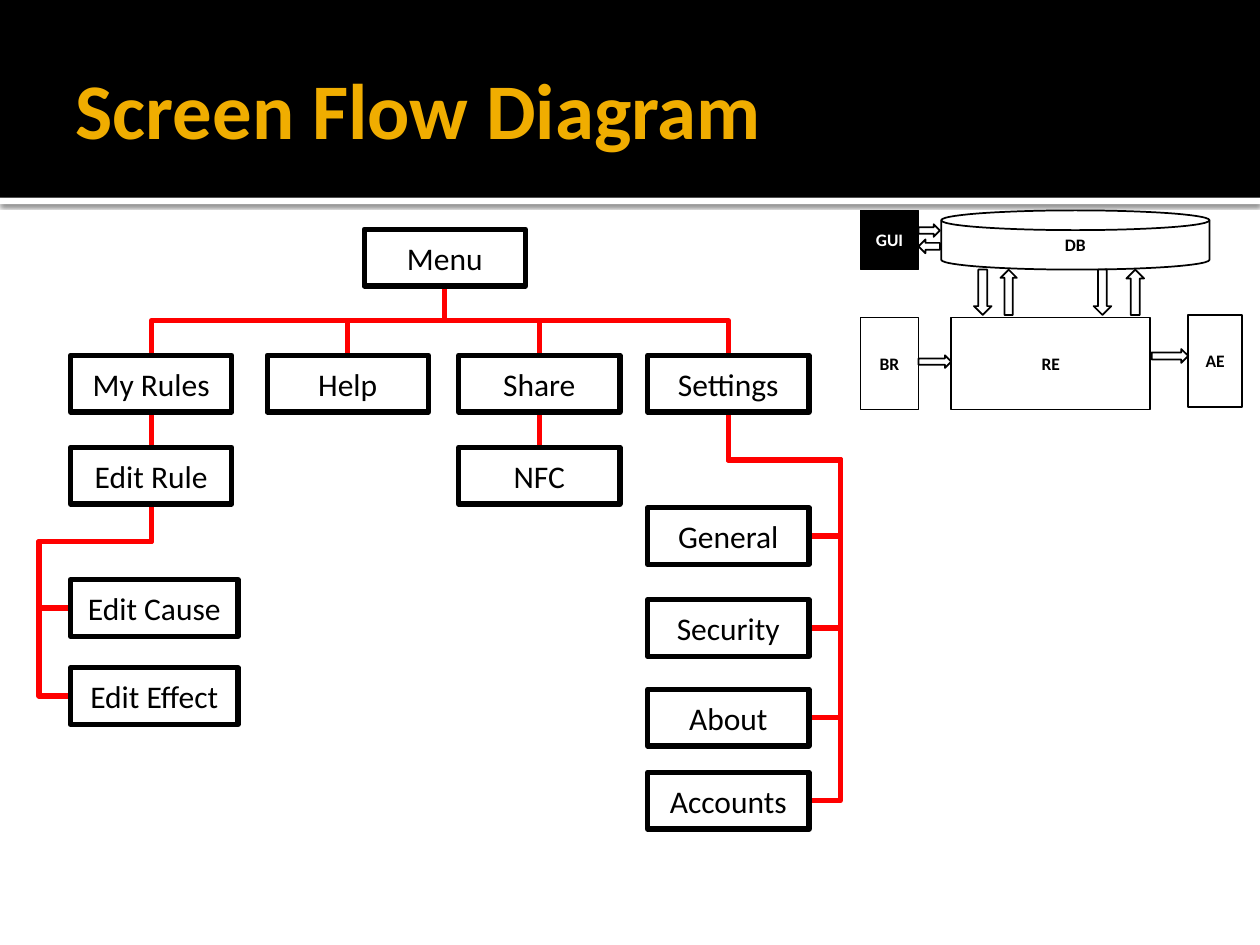
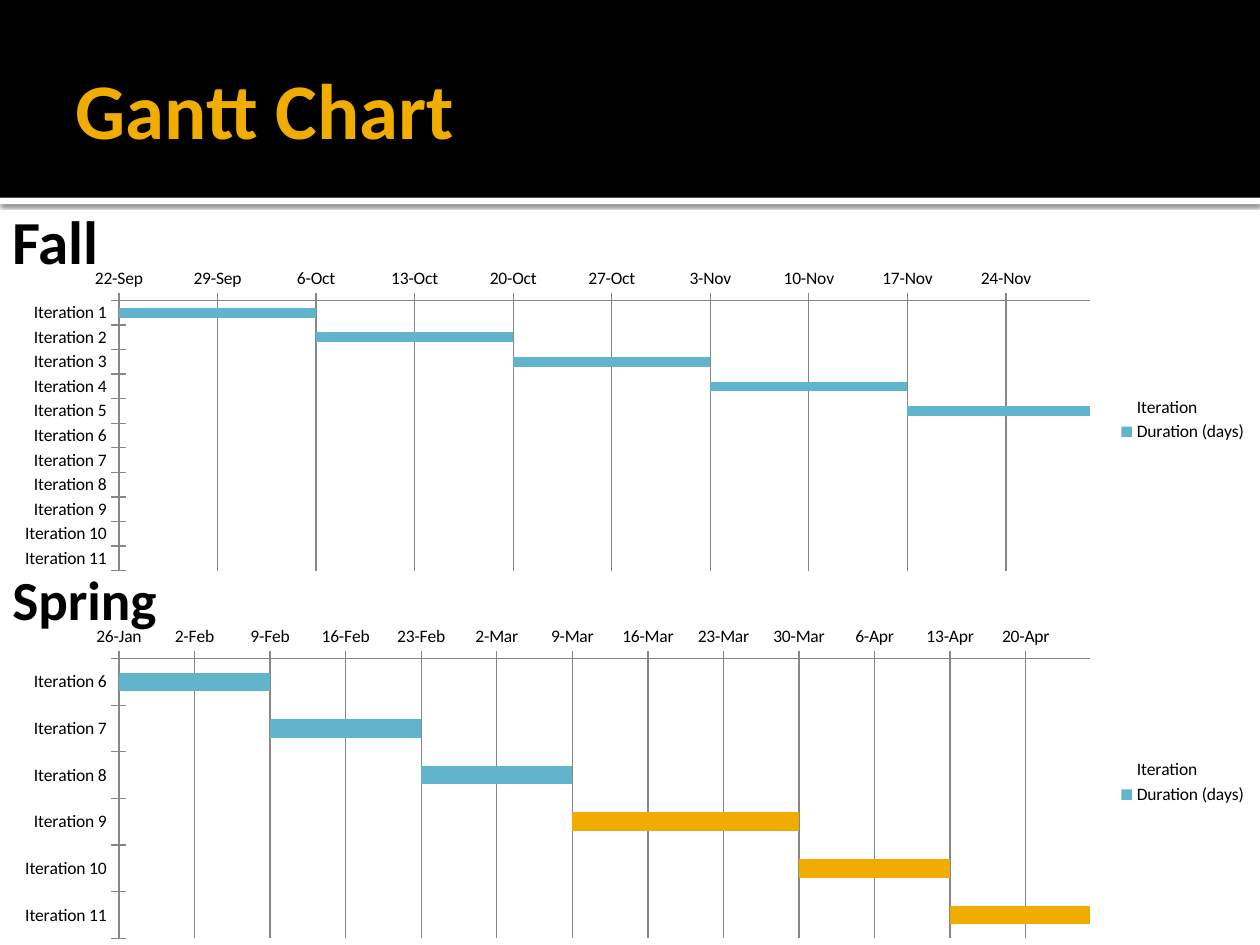
from dataclasses import dataclass

from lxml import etree
from pptx import Presentation
from pptx import util as u
from pptx.chart.data import CategoryChartData
from pptx.dml.color import RGBColor
from pptx.enum import chart as charts, shapes, text
from pptx.oxml.ns import qn


@dataclass(frozen=True)
class Theme:
    font: str = "Calibri"
    black: RGBColor = RGBColor.from_string("000000")
    white: RGBColor = RGBColor.from_string("FFFFFF")
    gold: RGBColor = RGBColor.from_string("F0AD00")
    blue: RGBColor = RGBColor.from_string("60B5CC")
    red: RGBColor = RGBColor.from_string("FF0000")
    grid: RGBColor = RGBColor.from_string("878787")
    title_size: float = 45
    fall_size: float = 34.9
    spring_size: float = 31.5
    screen_size: float = 18
    small_size: float = 10


theme = Theme()
kinds = shapes.MSO_SHAPE
TOP, LEFT, BOTTOM, RIGHT = range(4)


def add_box(slide, kind, place, label="", fill=theme.white, ink=theme.black,
            edge=1, size=theme.small_size, bold=True):
    """Add a filled shape with a black edge and a centred label."""
    box = slide.shapes.add_shape(kind, *map(u.Inches, place))
    box.shadow.inherit = False
    box.fill.solid()
    box.fill.fore_color.rgb = fill
    if edge:
        box.line.color.rgb = theme.black
        box.line.width = u.Pt(edge)
    else:
        box.line.fill.background()
    if label:
        box.text_frame.text = label
        box.text_frame.vertical_anchor = text.MSO_ANCHOR.MIDDLE
        line = box.text_frame.paragraphs[0]
        line.alignment = text.PP_ALIGN.CENTER
        for key, value in dict(name=theme.font, size=u.Pt(size), bold=bold).items():
            setattr(line.font, key, value)
        line.font.color.rgb = ink
    return box


def add_flow(slide, parent, child, side=TOP, drop=None):
    """Link a parent's bottom to a child's side; drop is the fall before a side rail."""
    x1, y1 = parent.left + parent.width // 2, parent.top + parent.height
    x2, y2 = child.left + child.width // 2, child.top
    if side != TOP:
        x2 = child.left + (child.width if side == RIGHT else 0)
        y2 += child.height // 2
    flow = slide.shapes.add_connector(shapes.MSO_CONNECTOR.ELBOW, x1, y1, x2, y2)
    flow.begin_connect(parent, BOTTOM)
    flow.end_connect(child, side)
    flow.line.color.rgb = theme.red
    flow.line.width = u.Pt(3)
    properties = flow._element.spPr
    etree.SubElement(properties, qn("a:effectLst"))

    # Turn the frame so that the line leaves downwards
    across, down = abs(x2 - x1), y2 - y1
    frame = properties.find(qn("a:xfrm"))
    for key in ("flipH", "flipV"):
        frame.attrib.pop(key, None)
    frame.set("rot", str((270 if x2 > x1 else 90) * 60000))
    if x2 > x1:
        frame.set("flipH", "1")
    flow.width, flow.height = down, across
    flow.left, flow.top = (x1 + x2 - down) // 2, (y1 + y2 - across) // 2

    # A side rail runs a quarter inch outside the child
    if drop:
        outline = properties.find(qn("a:prstGeom"))
        outline.set("prst", "bentConnector4")
        guides = outline.find(qn("a:avLst"))
        bends = u.Inches(drop) / down, 1 + u.Inches(0.25) / across
        for number, bend in enumerate(bends, 1):
            etree.SubElement(guides, qn("a:gd"), name=f"adj{number}",
                             fmla=f"val {round(bend * 100000)}")
    return flow


deck = Presentation()
deck.slide_width, deck.slide_height = u.Inches(10), u.Inches(7.5)
layout = deck.slide_layouts[5]
flow_slide, gantt_slide = (deck.slides.add_slide(layout) for _ in range(2))

# Shared header: black band and white strip with a soft shadow, kept on the layout
strip = add_box(flow_slide, kinds.RECTANGLE, (0, 1.57, 10, 0.05), edge=0)
band = add_box(flow_slide, kinds.RECTANGLE, (0, 0, 10, 1.57), fill=theme.black, edge=0)
effects = strip._element.spPr.find(qn("a:effectLst"))
shade = etree.SubElement(effects, qn("a:outerShdw"), blurRad="31750", dist="10160",
                         dir="5400000", algn="tl", rotWithShape="0")
shade_colour = etree.SubElement(shade, qn("a:srgbClr"), val=str(theme.black))
etree.SubElement(shade_colour, qn("a:alpha"), val="60000")
for part in (strip, band):
    layout.placeholders[0]._element.addprevious(part._element)

# Screen flow: boxes
screens = {}
for name, left, top, width in [
    ("My Rules", 0.56, 2.82, 1.28), ("Edit Rule", 0.56, 3.55, 1.28),
    ("Help", 2.12, 2.82, 1.28), ("Menu", 2.89, 1.82, 1.28),
    ("Share", 3.64, 2.82, 1.28), ("NFC", 3.64, 3.55, 1.28),
    ("Edit Cause", 0.56, 4.6, 1.33), ("Edit Effect", 0.56, 5.3, 1.33),
    ("Settings", 5.14, 2.82, 1.28), ("General", 5.14, 4.03, 1.28),
    ("Security", 5.14, 4.76, 1.28), ("About", 5.14, 5.47, 1.28),
    ("Accounts", 5.14, 6.13, 1.28),
]:
    screens[name] = add_box(flow_slide, kinds.RECTANGLE, (left, top, width, 0.45), name,
                            edge=3, size=theme.screen_size, bold=False)

# Screen flow: links, placed behind the boxes
for parent, children, side, drop in [
    ("Menu", ["My Rules", "Settings", "Share", "Help"], TOP, None),
    ("My Rules", ["Edit Rule"], TOP, None),
    ("Share", ["NFC"], TOP, None),
    ("Edit Rule", ["Edit Cause", "Edit Effect"], LEFT, 0.3),
    ("Settings", ["General", "Security", "About", "Accounts"], RIGHT, 0.38),
]:
    for child in children:
        link = add_flow(flow_slide, screens[parent], screens[child], side, drop)
        screens["My Rules"]._element.addprevious(link._element)

# Architecture overview with the GUI highlighted
add_box(flow_slide, kinds.RECTANGLE, (6.83, 1.67, 0.46, 0.47), "GUI",
        fill=theme.black, ink=theme.white)
for label, kind, place in [
    ("BR", kinds.RECTANGLE, (6.83, 2.52, 0.46, 0.73)),
    ("RE", kinds.RECTANGLE, (7.55, 2.52, 1.58, 0.73)),
    ("AE", kinds.RECTANGLE, (9.43, 2.5, 0.43, 0.73)),
    ("DB", kinds.FLOWCHART_MAGNETIC_DISK, (7.47, 1.67, 2.13, 0.47)),
]:
    add_box(flow_slide, kind, place, label)
for kind, turn, place in [
    (kinds.RIGHT_ARROW, 0, (7.29, 1.78, 0.17, 0.1)),
    (kinds.RIGHT_ARROW, 180, (7.29, 1.9, 0.17, 0.11)),
    (kinds.DOWN_ARROW, 0, (7.73, 2.14, 0.14, 0.36)),
    (kinds.DOWN_ARROW, 180, (7.94, 2.14, 0.13, 0.36)),
    (kinds.DOWN_ARROW, 0, (8.68, 2.14, 0.14, 0.36)),
    (kinds.DOWN_ARROW, 180, (8.94, 2.14, 0.14, 0.36)),
    (kinds.RIGHT_ARROW, 0, (9.14, 2.77, 0.29, 0.11)),
    (kinds.RIGHT_ARROW, 0, (7.29, 2.82, 0.26, 0.1)),
]:
    add_box(flow_slide, kind, place).rotation = turn

# Gantt charts: an unfilled start series carries the visible durations
for top, height, first, durations, last_day, gold_points in [
    (2.08, 2.5, 1, [14] * 5, 41608, []),
    (4.92, 2.58, 6, [14, 14, 14, 21, 14, 14], 41390, [3, 4, 5]),
]:
    first_day = 41539 if first == 1 else 41300
    starts = [first_day + sum(durations[:i]) for i in range(len(durations))]
    schedule = CategoryChartData()
    schedule.categories = [f"Iteration {n}" for n in range(first, 12)]
    unplanned = [None] * (12 - first - len(durations))
    schedule.add_series("Iteration", starts + unplanned)
    schedule.add_series("Duration (days)", durations + unplanned)
    gantt = gantt_slide.shapes.add_chart(
        charts.XL_CHART_TYPE.BAR_STACKED, u.Inches(0), u.Inches(top),
        u.Inches(10), u.Inches(height), schedule).chart
    gantt.has_title = False
    gantt.font.name = theme.font
    gantt.font.size = u.Pt(theme.small_size)
    gantt.font.color.rgb = theme.black
    gantt.has_legend = True
    gantt.legend.position = charts.XL_LEGEND_POSITION.RIGHT
    gantt.legend.include_in_layout = False

    bars = gantt.plots[0]
    for key, value in dict(gap_width=150, overlap=100, vary_by_categories=False).items():
        setattr(bars, key, value)
    start, duration = bars.series
    start.format.fill.background()
    duration.format.fill.solid()
    duration.format.fill.fore_color.rgb = theme.blue
    for index in gold_points:
        fill = duration.points[index].format.fill
        fill.solid()
        fill.fore_color.rgb = theme.gold

    iterations, days = gantt.category_axis, gantt.value_axis
    iterations.reverse_order = True
    iterations.has_major_gridlines = False
    for key, value in dict(minimum_scale=first_day, maximum_scale=last_day,
                           major_unit=7, has_major_gridlines=True).items():
        setattr(days, key, value)
    days.tick_labels.number_format = r"d\-mmm"
    days.tick_labels.number_format_is_linked = False
    for axis in (iterations, days):
        axis.major_tick_mark = charts.XL_TICK_MARK.CROSS
    for rule in (iterations.format.line, days.format.line,
                 days.major_gridlines.format.line):
        rule.color.rgb = theme.grid
        rule.width = u.Pt(0.75)

# Slide titles and term headings
title_place = (0.5, 0.17, 9, 1.37)
spring, fall = (gantt_slide.shapes.add_textbox(0, 0, 0, 0) for _ in range(2))
for heading, words, place, size, colour, spacing in [
    (flow_slide.shapes.title, "Screen Flow Diagram", title_place,
     theme.title_size, theme.gold, 1.0),
    (gantt_slide.shapes.title, "Gantt Chart", title_place,
     theme.title_size, theme.gold, 1.0),
    (spring, "Spring", (0, 4.42, 1.42, 0.75), theme.spring_size, theme.black, 0.8),
    (fall, "Fall", (0, 1.67, 1.25, 0.58), theme.fall_size, theme.black, 0.8),
]:
    for key, value in zip(("left", "top", "width", "height"), place):
        setattr(heading, key, u.Inches(value))
    frame = heading.text_frame
    frame.text = words
    for key, value in dict(
            word_wrap=True, auto_size=text.MSO_AUTO_SIZE.NONE,
            vertical_anchor=text.MSO_ANCHOR.MIDDLE, margin_left=u.Inches(0.1),
            margin_right=u.Inches(0.05), margin_top=u.Inches(0.05),
            margin_bottom=u.Inches(0.05)).items():
        setattr(frame, key, value)
    line = frame.paragraphs[0]
    line.alignment = text.PP_ALIGN.LEFT
    line.line_spacing = spacing
    for key, value in dict(name=theme.font, size=u.Pt(size), bold=True).items():
        setattr(line.font, key, value)
    line.font.color.rgb = colour

deck.save("out.pptx")
